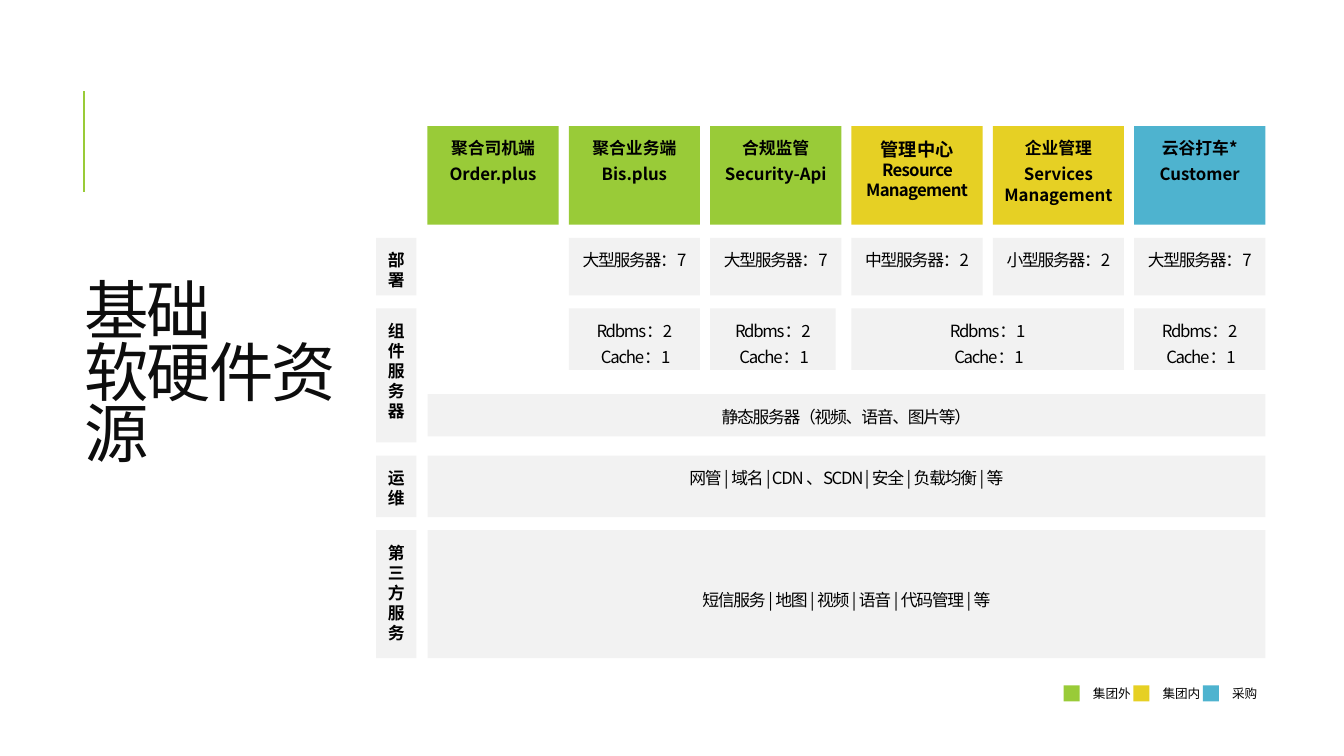
from pptx import Presentation
from pptx.dml.color import RGBColor
from pptx.enum.shapes import MSO_CONNECTOR, MSO_SHAPE
from pptx.enum.text import MSO_ANCHOR, PP_ALIGN
from pptx.oxml.ns import qn
from pptx.util import Inches, Pt
from lxml import etree

FONT = "Noto Sans CJK SC"
COLORS = {"green": "99CB38", "yellow": "E6D024", "blue": "4EB3CF",
          "grey": "F2F2F2", "ink": "000000", "title": "0D0D0D"}

TITLE = "基础\v软硬件资源"
SYSTEMS = [
    ("green", ["聚合司机端", "Order.plus"]),
    ("green", ["聚合业务端", "Bis.plus"]),
    ("green", ["合规监管", "Security-Api"]),
    ("yellow", ["管理中心\vResource Management"]),
    ("yellow", ["企业管理", "Services Management"]),
    ("blue", ["云谷打车*", "Customer"]),
]
LEGEND = [("green", "集团外"), ("yellow", "集团内"), ("blue", "采购")]

ROWS = {
    "部署": (2.36, 0.57),
    "组件服务器": (3.06, 1.33),
    "运维": (4.52, 0.61),
    "第三方服务": (5.26, 1.27),
}
SERVERS = ["大型服务器：7", "大型服务器：7", "中型服务器：2", "小型服务器：2", "大型服务器：7"]
COMPONENTS = [(1, 1, 2), (2, 0.96, 2), (3, 2, 1), (5, 1, 2)]
BANDS = [
    (3.91, 0.42, "静态服务器（视频、语音、图片等）", MSO_ANCHOR.TOP),
    (*ROWS["运维"], "网管 | 域名 | CDN 、SCDN | 安全 | 负载均衡 | 等", MSO_ANCHOR.TOP),
    (*ROWS["第三方服务"], "短信服务 | 地图 | 视频 | 语音 | 代码管理 | 等", MSO_ANCHOR.MIDDLE),
]

GRID_X, GRID_W, GAP = 4.24, 8.31, 0.1
PITCH = (GRID_W + GAP) / len(SYSTEMS)
SIDE_X, SIDE_W = 3.73, 0.4
HEAD_Y, HEAD_H = 1.25, 0.98
LEGEND_X, LEGEND_Y, LEGEND_STEP, KEY = 10.55, 6.8, 0.69, 0.16


def write(s, paragraphs, size=12, bold=False, color="ink", spc=0, align=PP_ALIGN.CENTER,
          anchor=MSO_ANCHOR.TOP, insets=(0.08, 0.12, 0.08, 0), line=1.0, after=4.2):
    tf = s.text_frame
    tf.word_wrap = True
    tf.vertical_anchor = anchor
    tf.margin_left, tf.margin_top, tf.margin_right, tf.margin_bottom = map(Inches, insets)
    for i, text in enumerate(paragraphs):
        p = tf.add_paragraph() if i else tf.paragraphs[0]
        p.text = text
        p.alignment, p.line_spacing = align, line
        p.space_before, p.space_after = Pt(0), Pt(after)
        for r in p.runs:
            r.font.size, r.font.bold, r.font.name = Pt(size), bold, FONT
            r.font.color.rgb = rgb(color)
            rpr = r.font._element
            etree.SubElement(rpr, qn("a:ea"), typeface=FONT)
            if spc:
                rpr.set("spc", str(round(spc * 100)))
    return tf


def rgb(name):
    return RGBColor.from_string(COLORS[name])


def add_box(slide, x, y, w, h, fill):
    s = slide.shapes.add_shape(MSO_SHAPE.RECTANGLE, Inches(x), Inches(y), Inches(w), Inches(h))
    s.shadow.inherit = False
    s.fill.solid()
    s.fill.fore_color.rgb = rgb(fill)
    s.line.fill.background()
    return s


def add_cell(slide, col, y, h, paragraphs, span=1, fill="grey", **fmt):
    s = add_box(slide, GRID_X + col * PITCH, y, span * PITCH - GAP, h, fill)
    return write(s, paragraphs, **fmt)


def main():
    prs = Presentation()
    prs.slide_width, prs.slide_height = Inches(13.33), Inches(7.5)
    slide = prs.slides.add_slide(prs.slide_layouts[5])

    rule = slide.shapes.add_connector(MSO_CONNECTOR.STRAIGHT, Inches(0.83), Inches(1.9),
                                      Inches(0.83), Inches(0.9))
    rule.line.color.rgb = rgb("green")
    rule.line.width = Pt(1.5)
    etree.SubElement(rule._element.spPr, qn("a:effectLst"))

    title = slide.shapes.title
    title.left, title.top, title.width, title.height = map(Inches, (0.84, 0.7, 2.89, 6.09))
    write(title, [TITLE], size=46, color="title", spc=-1.5, align=PP_ALIGN.LEFT,
          anchor=MSO_ANCHOR.MIDDLE, insets=(0, 0, 0, 0), line=0.8, after=0)

    for col, (fill, names) in enumerate(SYSTEMS):
        tf = add_cell(slide, col, HEAD_Y, HEAD_H, names, fill=fill, bold=True)
        runs = tf.paragraphs[0].runs
        if len(runs) > 1:
            runs[0].font.size = Pt(13)
            runs[1].font._element.set("spc", "-50")

    for label, (y, h) in ROWS.items():
        write(add_box(slide, SIDE_X, y, SIDE_W, h, "grey"), [label], bold=True)

    for col, text in enumerate(SERVERS, start=1):
        add_cell(slide, col, *ROWS["部署"], [text], spc=-0.9)

    for col, span, count in COMPONENTS:
        add_cell(slide, col, ROWS["组件服务器"][0], 0.61,
                 [f"Rdbms：{count}", " Cache：1"], span=span, spc=-0.9)

    for y, h, text, anchor in BANDS:
        add_cell(slide, 0, y, h, [text], span=len(SYSTEMS), spc=-0.9, anchor=anchor)

    for i, (fill, text) in enumerate(LEGEND):
        x = LEGEND_X + i * LEGEND_STEP
        add_box(slide, x, LEGEND_Y, KEY, KEY, fill)
        s = slide.shapes.add_textbox(Inches(x + 0.29), Inches(LEGEND_Y), Inches(0.45), Inches(KEY))
        write(s, [text], size=9, align=PP_ALIGN.LEFT, anchor=MSO_ANCHOR.MIDDLE,
              insets=(0, 0, 0, 0), after=0)

    prs.save("out.pptx")


if __name__ == "__main__":
    main()
